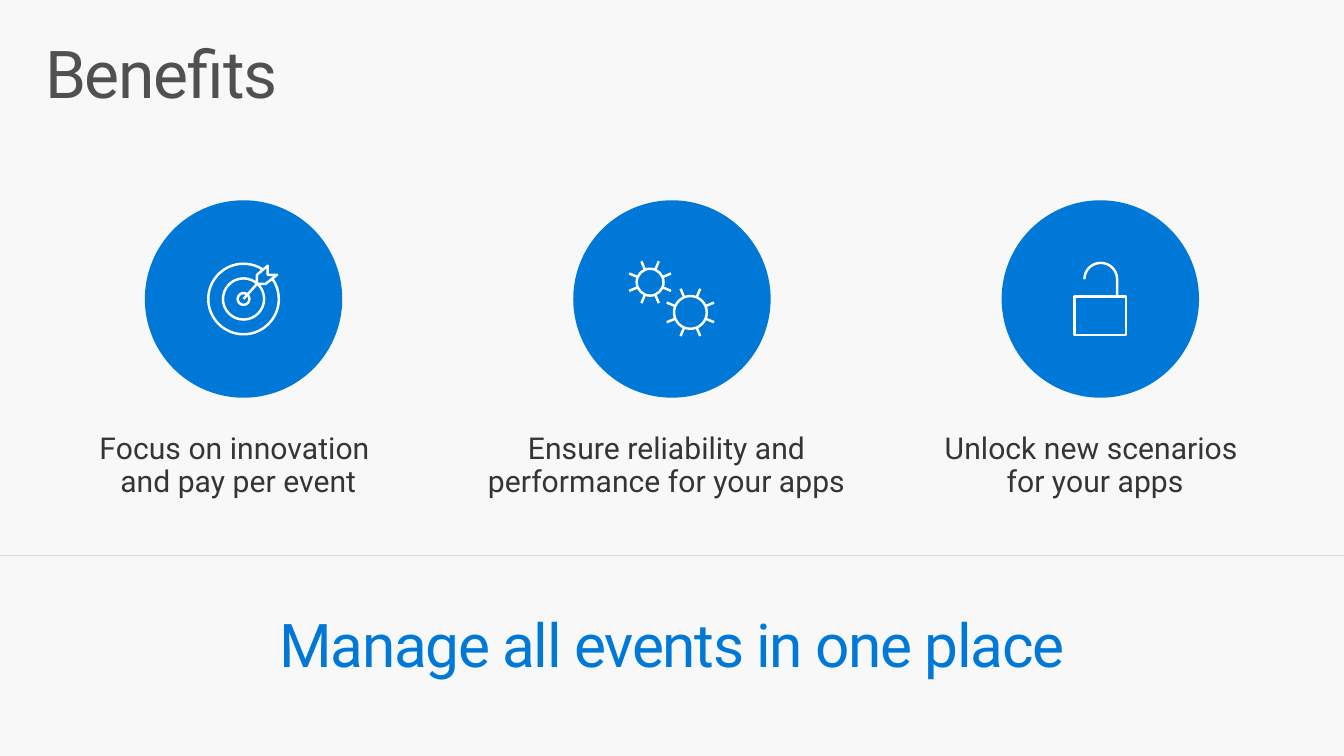
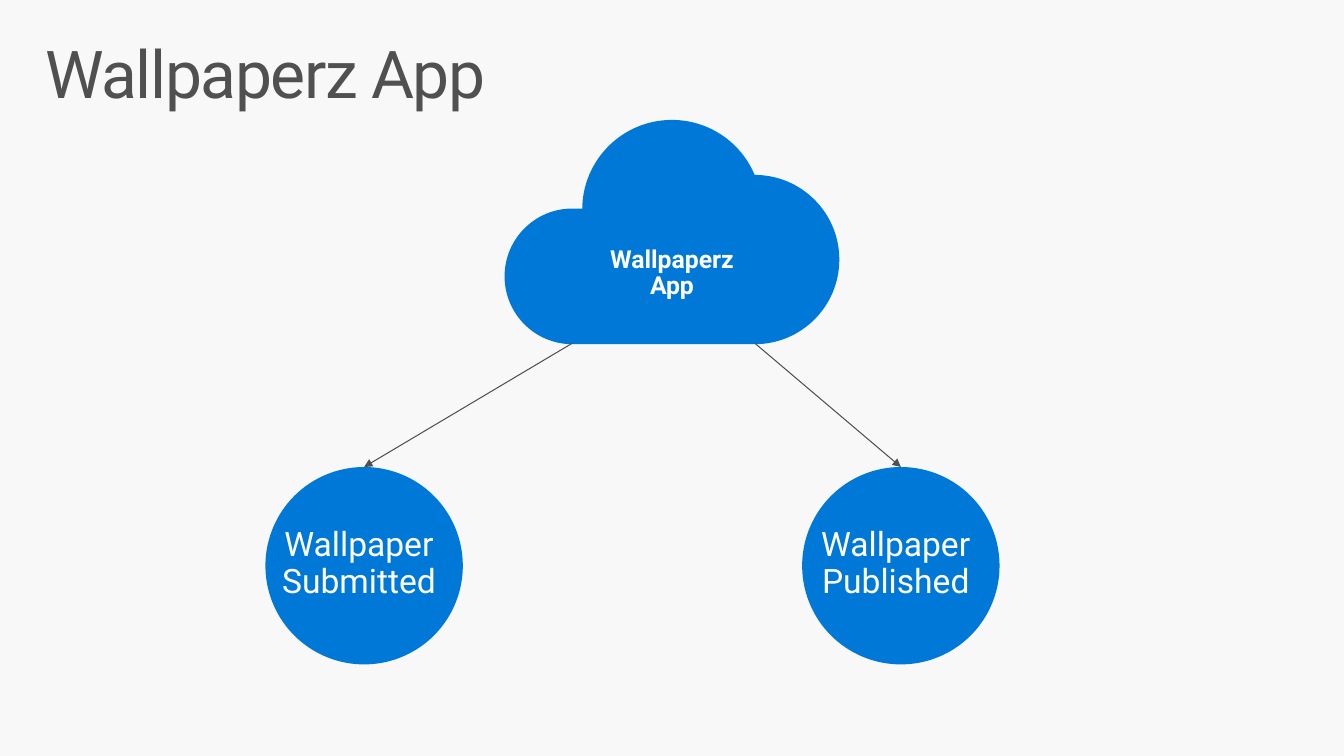
import math

from lxml import etree
from pptx import Presentation
from pptx import util as u
from pptx.dml.color import RGBColor
from pptx.enum import shapes, text
from pptx.oxml.ns import qn

BLUE = RGBColor(0x00, 0x78, 0xD7)
WHITE = RGBColor(0xFF, 0xFF, 0xFF)
PAPER = RGBColor(0xF8, 0xF8, 0xF8)
GRAY = RGBColor(0x50, 0x50, 0x50)
DARK = RGBColor(0x35, 0x35, 0x35)
RULE = RGBColor(0xD9, 0xD9, 0xD9)
FONT = "Roboto"

COLUMNS, ROWS = 160, 90
CELL = u.Inches(1) // 12
MIDDLE = COLUMNS / 2
PITCH = 51
DISC = 23.5
DISC_ROW = 35.6
EVENT_ROW = 67.35
EVENT_COLUMNS = (43.35, 107.25)
FULL_TURN = (0, 90, 180, 270, 360)
WIDE_INSETS = (1.9, 1.2, 1.9, 1.2)
CAPTION_INSETS = (1.2, 1.9, 2.4, 1.9)
LABEL_INSETS = (1.2, 0.6, 1.2, 0.6)


def arc(x, y, radius, stops=FULL_TURN):
    turns = [math.radians(stop) for stop in stops]
    steps = [(x + radius * math.cos(turns[0]), y + radius * math.sin(turns[0]))]
    for start, end in zip(turns, turns[1:]):
        pull = 4 / 3 * math.tan((end - start) / 4)
        steps.append((
            x + radius * (math.cos(start) - pull * math.sin(start)),
            y + radius * (math.sin(start) + pull * math.cos(start)),
            x + radius * (math.cos(end) + pull * math.sin(end)),
            y + radius * (math.sin(end) - pull * math.cos(end)),
            x + radius * math.cos(end),
            y + radius * math.sin(end),
        ))
    return steps


def draw_outline(slide, contours, line_color, weight, fill_color=None):
    builder = None
    for contour in contours:
        points = [(round(x * CELL), round(y * CELL))
                  for step in contour for x, y in zip(step[::2], step[1::2])]
        if builder is None:
            builder = slide.shapes.build_freeform(*points[0])
        else:
            builder.move_to(*points[0])
        builder.add_line_segments(points[1:], close=points[0] == points[-1])
    shape = builder.convert_to_shape()
    segments = iter(list(shape._element.iter(qn("a:lnTo"))))
    for step in [step for contour in contours for step in contour[1:]]:
        segment = next(segments)
        if len(step) == 6:
            curve = etree.Element(qn("a:cubicBezTo"))
            segment.addprevious(curve)
            for part in (segment, next(segments), next(segments)):
                curve.append(part[0])
                part.getparent().remove(part)
    shape.shadow.inherit = False
    shape.line.color.rgb = line_color
    shape.line.width = u.Pt(weight)
    if fill_color is None:
        shape.fill.background()
    else:
        shape.fill.solid()
        shape.fill.fore_color.rgb = fill_color


presentation = Presentation()
presentation.slide_width = COLUMNS * CELL
presentation.slide_height = ROWS * CELL
background = presentation.slide_master.background.fill
background.solid()
background.fore_color.rgb = PAPER
title_only = presentation.slide_layouts[5]
benefits = presentation.slides.add_slide(title_only)
app = presentation.slides.add_slide(title_only)

benefit_columns = [MIDDLE + PITCH * step for step in (-1, 0, 1)]
discs = [(benefits, column, DISC_ROW) for column in benefit_columns]
discs += [(app, column, EVENT_ROW) for column in EVENT_COLUMNS]
for slide, x, y in discs:
    disc = slide.shapes.add_shape(
        shapes.MSO_SHAPE.OVAL,
        u.Emu(round((x - DISC / 2) * CELL)), u.Emu(round((y - DISC / 2) * CELL)),
        u.Emu(round(DISC * CELL)), u.Emu(round(DISC * CELL)),
    )
    disc.shadow.inherit = False
    disc.fill.solid()
    disc.fill.fore_color.rgb = BLUE
    disc.line.fill.background()

target_x = benefit_columns[0]
shaft = [(0, 0), (1.6, -1.8)]
feathers = [(4, -2.88), (2.88, -2.88), (2.88, -3.96), (1.6, -2.88),
            (1.6, -1.8), (2.64, -1.8), (4, -2.88)]
target = [
    arc(target_x, DISC_ROW, 4.2, (-37, 0, 90, 180, 270, 303)),
    arc(target_x, DISC_ROW, 2.45),
    arc(target_x, DISC_ROW, 0.7),
]
for part in (shaft, feathers):
    target.append([(target_x + x, DISC_ROW + y) for x, y in part])

gears = []
for x, y, radius in [(77.4, 33.6, 1.6), (82.2, 37.2, 1.95)]:
    gears.append(arc(x, y, radius))
    for tooth in range(8):
        angle = math.radians(22.5 + 45 * tooth)
        gears.append([(x + reach * math.cos(angle), y + reach * math.sin(angle))
                      for reach in (radius, radius + 1.1)])

padlock = [
    [(134.05, 39.9), (127.9, 39.9), (127.9, 35.3), (134.05, 35.3), (134.05, 39.9)],
    [(133, 35.3)] + arc(131.05, 33.25, 1.95, (0, -90, -180)),
]
for icon in (target, gears, padlock):
    draw_outline(benefits, icon, WHITE, 1.75)

cloud = (arc(80, 24.95, 10.55, (180, 270, 338)) + arc(89.85, 30.9, 9.95, (-90, 0, 90))
         + arc(68.15, 32.9, 7.95, (90, 180, 270)) + [(69.45, 24.95)])
draw_outline(app, [cloud], BLUE, 1.5, BLUE)

event_top = EVENT_ROW - DISC / 2
connectors = [
    (benefits, (0, 66.15), (COLUMNS, 66.15), RULE, 1, False),
    (app, (68.15, 40.85), (EVENT_COLUMNS[0], event_top), GRAY, 0.75, True),
    (app, (89.85, 40.85), (EVENT_COLUMNS[1], event_top), GRAY, 0.75, True),
]
for slide, start, end, color, weight, has_arrow in connectors:
    ends = [u.Emu(round(value * CELL)) for value in start + end]
    connector = slide.shapes.add_connector(shapes.MSO_CONNECTOR.STRAIGHT, *ends)
    connector.line.color.rgb = color
    connector.line.width = u.Pt(weight)
    properties = connector._element.spPr
    if has_arrow:
        etree.SubElement(properties.find(qn("a:ln")), qn("a:tailEnd"), type="triangle")
    etree.SubElement(properties, qn("a:effectLst"))

LEFT, CENTER = text.PP_ALIGN.LEFT, text.PP_ALIGN.CENTER
title_style = (WIDE_INSETS, LEFT, 47.06, GRAY, False, -100)
headline_style = (WIDE_INSETS, CENTER, 43.14, BLUE, False, -100)
caption_style = (CAPTION_INSETS, CENTER, 21.57, DARK, False, 0)
event_style = (CAPTION_INSETS, CENTER, 24, WHITE, False, 0)
cloud_style = (LABEL_INSETS, CENTER, 17.65, WHITE, True, 0)

texts = [
    (benefits, "Benefits", MIDDLE, 3.8, 153, 11.8, title_style),
    (app, "Wallpaperz App", MIDDLE, 3.8, 153, 11.8, title_style),
    (benefits, "Manage all events in one place", MIDDLE, 72.05, 153, 10.3, headline_style),
    (app, "Wallpaperz\vApp", MIDDLE, 28.8, 31, 7.7, cloud_style),
]
captions = [
    ("Focus on innovation \vand pay per event", 42.4),
    ("Ensure reliability and performance for your apps", 49.4),
    ("Unlock new scenarios \vfor your apps", 42.4),
]
for column, (caption, width) in zip(benefit_columns, captions):
    texts.append((benefits, caption, column, 49.7, width, 11.8, caption_style))
for column, event in zip(EVENT_COLUMNS, ("Wallpaper\vSubmitted", "Wallpaper\vPublished")):
    texts.append((app, event, column, 60.95, 42.4, 16.9, event_style))

for slide, words, center, top, width, height, style in texts:
    insets, alignment, size, color, bold, spacing = style
    if style is title_style:
        box = slide.shapes.title
    else:
        box = slide.shapes.add_textbox(0, 0, 0, 0)
    box.left, box.top, box.width, box.height = [
        u.Emu(round(value * CELL)) for value in (center - width / 2, top, width, height)]
    frame = box.text_frame
    frame.word_wrap = True
    frame.auto_size = text.MSO_AUTO_SIZE.NONE
    frame.vertical_anchor = text.MSO_ANCHOR.TOP
    frame.margin_left, frame.margin_top, frame.margin_right, frame.margin_bottom = [
        u.Emu(round(inset * CELL)) for inset in insets]
    paragraph = frame.paragraphs[0]
    paragraph.text = words
    paragraph.alignment = alignment
    paragraph.line_spacing = 0.9
    paragraph.space_before = u.Pt(0)
    paragraph.font.name = FONT
    paragraph.font.size = u.Pt(size)
    paragraph.font.bold = bold
    paragraph.font.color.rgb = color
    if spacing:
        for run in paragraph.runs:
            run.font._element.set("spc", str(spacing))

presentation.save("out.pptx")
